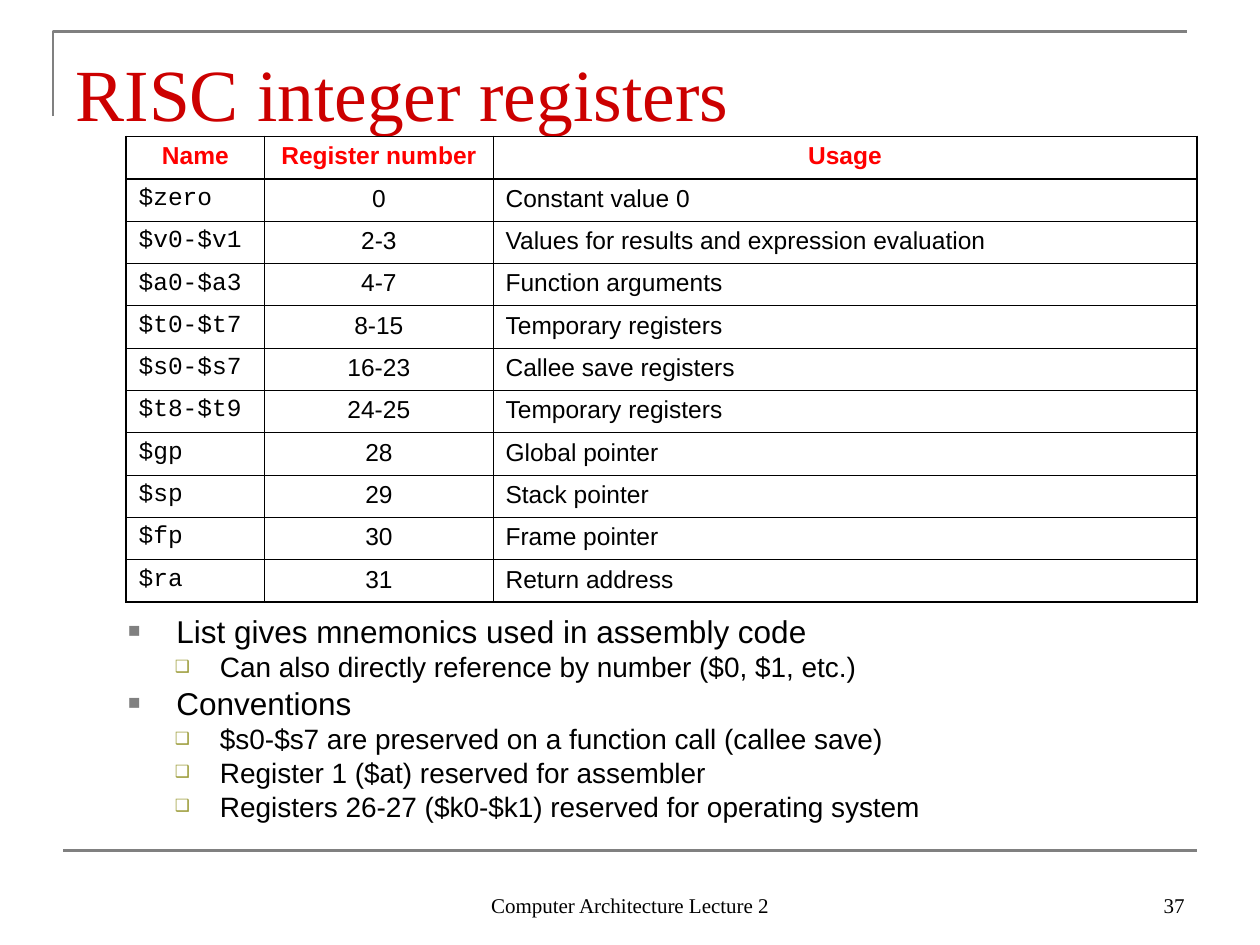
import pptx
import pptx.dml.color
import pptx.enum.shapes
import pptx.enum.text
import pptx.oxml
import pptx.oxml.ns
import pptx.util

Cm, Pt = pptx.util.Cm, pptx.util.Pt
Align, Anchor = pptx.enum.text.PP_ALIGN, pptx.enum.text.MSO_ANCHOR
COLORS = {
    "title": "CC0000", "head": "FF0000", "text": "000000",
    "frame": "808080", "square": "808080", "box": "999933",
}
SERIF, SANS, MONO = "Times New Roman", "Arial", "Courier New"
THIN, THICK = 0.45, 1.08

REGISTERS = [
    ("Name", "Register number", "Usage"),
    ("$zero", "0", "Constant value 0"),
    ("$v0-$v1", "2-3", "Values for results and expression evaluation"),
    ("$a0-$a3", "4-7", "Function arguments"),
    ("$t0-$t7", "8-15", "Temporary registers"),
    ("$s0-$s7", "16-23", "Callee save registers"),
    ("$t8-$t9", "24-25", "Temporary registers"),
    ("$gp", "28", "Global pointer"),
    ("$sp", "29", "Stack pointer"),
    ("$fp", "30", "Frame pointer"),
    ("$ra", "31", "Return address"),
]
NOTES = [
    (0, "List gives mnemonics used in assembly code"),
    (1, "Can also directly reference by number ($0, $1, etc.)"),
    (0, "Conventions"),
    (1, "$s0-$s7 are preserved on a function call (callee save)"),
    (1, "Register 1 ($at) reserved for assembler"),
    (1, "Registers 26-27 ($k0-$k1) reserved for operating system"),
]
# Per level: size, space before, left margin, hanging indent, bullet, its colour and percent
LEVELS = [
    (18, 4.5, Cm(0.97), Cm(0.97), "■", "square", 65),
    (16, 4, Cm(1.85), Cm(0.91), "❑", "box", 60),
]


def rgb(name):
    return pptx.dml.color.RGBColor.from_string(COLORS[name])


def style(para, size, face, color="text", align=Align.LEFT, bold=False):
    para.alignment = align
    for run in para.runs:
        font = run.font
        font.size, font.name, font.bold = Pt(size), face, bold
        font.color.rgb = rgb(color)


def place(shape, left, top, width, height):
    shape.left, shape.top = Cm(left), Cm(top)
    shape.width, shape.height = Cm(width), Cm(height)


def add_xml(parent, text):
    space = pptx.oxml.ns.nsdecls("a")
    parent.append(pptx.oxml.parse_xml(text.replace(">", f" {space}>", 1)))


def add_frame(slide):
    """Draw the corner above the title and the rule above the footer."""
    left, top = Cm(1.07), Cm(0.64)
    path = slide.shapes.build_freeform(left, Cm(2.34))
    path.add_line_segments([(left, top), (Cm(23.93), top)], close=False)
    corner = path.convert_to_shape()
    corner.fill.background()
    corner.shadow.inherit = False
    straight = pptx.enum.shapes.MSO_CONNECTOR.STRAIGHT
    rule = slide.shapes.add_connector(straight, Cm(1.27), Cm(17.15), Cm(24.13), Cm(17.15))
    add_xml(rule.line._get_or_add_ln().getparent(), "<a:effectLst></a:effectLst>")
    for shape in (corner, rule):
        shape.line.color.rgb = rgb("frame")
        shape.line.width = Pt(1.5)


def add_foot(slide, text, left, width, align):
    box = slide.shapes.add_textbox(Cm(left), Cm(17.36), Cm(width), Cm(1.27))
    frame = box.text_frame
    frame.word_wrap = True
    frame.vertical_anchor = Anchor.BOTTOM
    frame.text = text
    style(frame.paragraphs[0], 12, SERIF, align=align)


def set_title(title, text):
    place(title, 1.27, 0.76, 22.86, 1.98)
    frame = title.text_frame
    frame.auto_size = pptx.enum.text.MSO_AUTO_SIZE.NONE
    frame.vertical_anchor = Anchor.BOTTOM
    frame.margin_bottom = 0
    frame.text = text
    style(frame.paragraphs[0], 42, SERIF, "title")


def set_notes(body):
    place(body, 2.33, 12.35, 21.8, 4.67)
    frame = body.text_frame
    frame.auto_size = pptx.enum.text.MSO_AUTO_SIZE.NONE
    frame.text = "\n".join(text for _, text in NOTES)
    for i, (para, (level, _)) in enumerate(zip(frame.paragraphs, NOTES)):
        size, gap, left, hang, mark, color, scale = LEVELS[level]
        para.level = level
        para.line_spacing = 0.8
        para.space_before = Pt(gap if i else 0)
        props = para._p.get_or_add_pPr()
        props.set("marL", str(left))
        props.set("indent", str(-hang))
        add_xml(props, f'<a:buClr><a:srgbClr val="{COLORS[color]}"/></a:buClr>')
        add_xml(props, f'<a:buSzPct val="{scale * 1000}"></a:buSzPct>')
        add_xml(props, f'<a:buFont typeface="{SANS}"></a:buFont>')
        add_xml(props, f'<a:buChar char="{mark}"></a:buChar>')
        style(para, size, SANS)


def set_edges(cell, **edges):
    props = cell._tc.get_or_add_tcPr()
    for side, width in edges.items():
        add_xml(props, f'<a:ln{side} w="{Pt(width)}"><a:solidFill>'
                       f'<a:srgbClr val="{COLORS["text"]}"/></a:solidFill></a:ln{side}>')


def add_grid(slide):
    rows, cols = len(REGISTERS), len(REGISTERS[0])
    shape = slide.shapes.add_table(rows, cols, Cm(2.54), Cm(2.75), Cm(21.59), Cm(9.39))
    grid = shape.table
    grid.first_row = grid.horz_banding = False
    for col, width in zip(grid.columns, (2.8, 4.6, 14.19)):
        col.width = Cm(width)
    for r, texts in enumerate(REGISTERS):
        for c, text in enumerate(texts):
            cell = grid.cell(r, c)
            set_edges(cell,
                      L=THIN if c else THICK,
                      R=THICK if c == cols - 1 else THIN,
                      T=THICK if r < 2 else THIN,
                      B=THICK if r in (0, rows - 1) else THIN)
            cell.fill.background()
            cell.text_frame.text = text
            head = r == 0
            style(cell.text_frame.paragraphs[0], 14,
                  MONO if c == 0 and not head else SANS,
                  "head" if head else "text",
                  Align.CENTER if head or c == 1 else Align.LEFT, head)


def main():
    deck = pptx.Presentation()
    deck.slide_width, deck.slide_height = Cm(25.4), Cm(19.05)
    slide = deck.slides.add_slide(deck.slide_layouts[1])
    add_frame(slide)
    add_foot(slide, "Computer Architecture Lecture 2", 8.68, 8.05, Align.CENTER)
    add_foot(slide, "37", 18.21, 5.92, Align.RIGHT)
    set_title(slide.shapes.title, "RISC integer registers")
    set_notes(slide.placeholders[1])
    add_grid(slide)
    deck.save("out.pptx")


if __name__ == "__main__":
    main()
